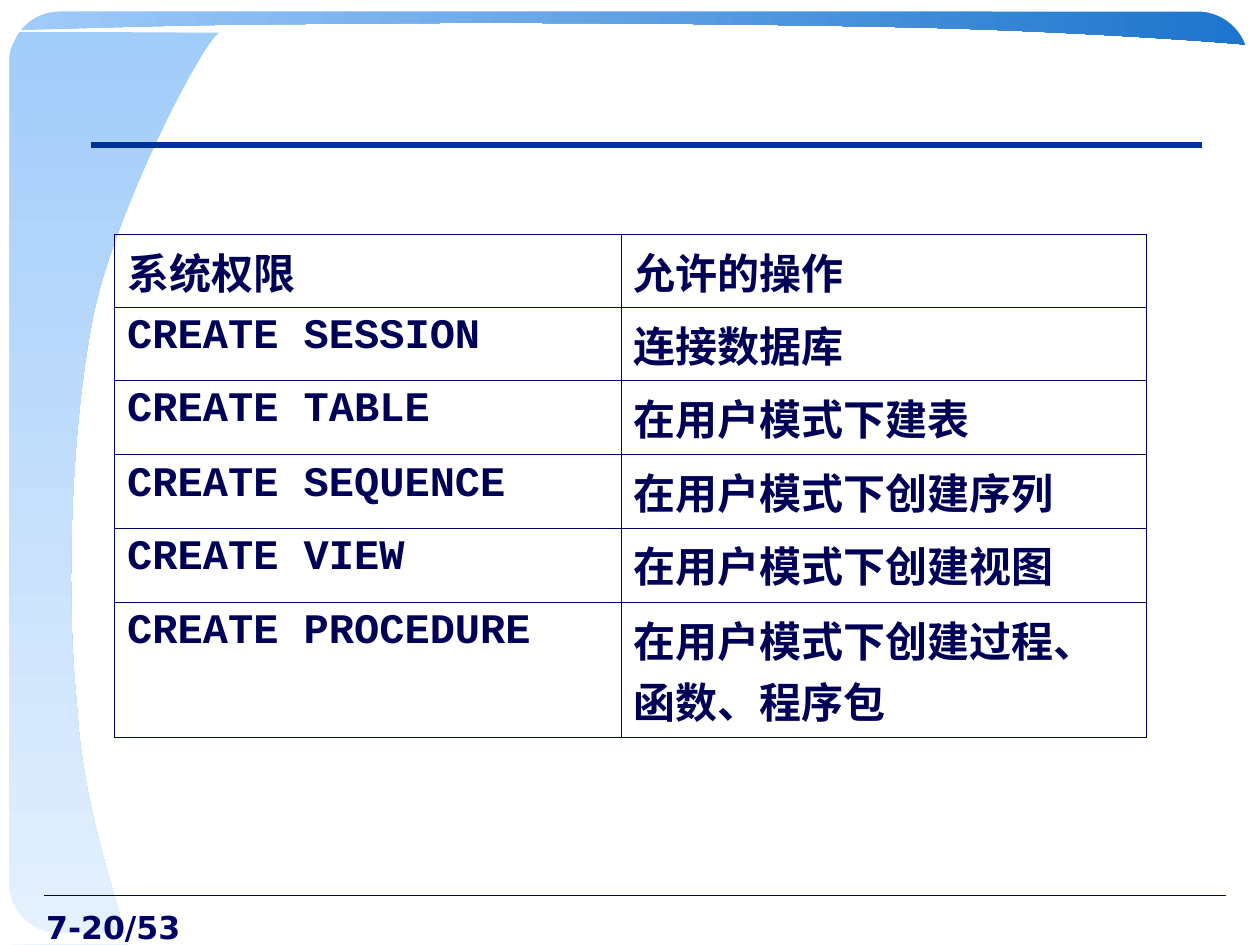
"""Build a slide that lists the system privileges of a database in a table."""
from lxml.etree import SubElement
from pptx import Presentation
from pptx.dml.color import RGBColor
from pptx.enum.shapes import MSO_CONNECTOR as Connector, MSO_SHAPE as Shape
from pptx.enum.text import PP_ALIGN as Align
from pptx.oxml.ns import qn
from pptx.util import Pt

SCALE = 9144
COLORS = {"white": "FFFFFF", "navy": "000066", "ink": "000056", "rule": "003399",
          "sky": "A2CCFA", "mist": "E5F1FE", "ocean": "1C74CC"}
FONTS = {"page": "DejaVu Sans", "code": "Courier New", "text": "Times New Roman"}

LEFT_WAVE = [(101, 750), (95, 718, 65, 642, 61, 558), (52, 474, 56, 337, 75, 246),
             (95, 159, 160, 35, 174, 26), (1, 25), (0, 750)]
TOP_WAVE = [(7, 24), (51, 23, 149, 19, 271, 19), (386, 17, 612, 19, 736, 22),
            (854, 25, 982, 34, 994, 36), (995, 7), (7, 7)]
BOTTOM_LEFT = [(48, 749), (19, 735), (5, 720), (0, 698), (0, 750)]
TOP_LEFT = [(0, 55), (4, 49, 13, 26, 21, 17), (28, 8, 50, 4, 48, 0), (0, 1)]
BOTTOM_RIGHT = [(999, 700), (987, 725), (971, 741), (956, 750), (1000, 749)]
TOP_RIGHT = [(951, 1), (956, 3, 972, 2, 986, 17), (999, 32, 997, 60, 999, 57), (999, 1)]

PRIVILEGES = [
    ("系统权限", "允许的操作"),
    ("CREATE SESSION", "连接数据库"),
    ("CREATE TABLE", "在用户模式下建表"),
    ("CREATE SEQUENCE", "在用户模式下创建序列"),
    ("CREATE VIEW", "在用户模式下创建视图"),
    ("CREATE PROCEDURE", "在用户模式下创建过程、函数、程序包"),
]


def px(*lengths):
    """Turn px lengths into EMU."""
    return [length * SCALE for length in lengths]


def color(name):
    """Look up a colour by name."""
    return RGBColor.from_string(COLORS[name])


def bend(form, parts):
    """Join each run of three lines that stands for a cubic curve."""
    lines = iter(list(form.element.iter(qn("a:lnTo"))))
    for part in parts[1:]:
        curve = next(lines)
        if len(part) == 6:
            curve.tag = qn("a:cubicBezTo")
            for extra in (next(lines), next(lines)):
                curve.append(extra[0])
                extra.getparent().remove(extra)


def write(frame, text, font="text", size=24, ink="ink", align=Align.LEFT):
    """Put one bold paragraph into a text frame."""
    frame.word_wrap = True
    para = frame.paragraphs[0]
    para.alignment = align
    span = para.add_run()
    span.text = text
    span.font.name = FONTS[font]
    span.font.size = Pt(size)
    span.font.bold = True
    span.font.color.rgb = color(ink)


class Painter:
    """Hold the current slide and draw each kind of element on it."""

    def __init__(self, slide):
        """Keep the slide's shapes."""
        self.shapes = slide.shapes

    def outline(self, parts, fill="white", fade=None, angle=0, line=None):
        """Draw a filled outline, plain or fading to a second colour."""
        points = [px(*part[i:i + 2]) for part in parts for i in range(0, len(part), 2)]
        builder = self.shapes.build_freeform(*points[0])
        builder.add_line_segments(points[1:])
        form = builder.convert_to_shape()
        bend(form, parts)
        form.shadow.inherit = False
        if fade:
            form.fill.gradient()
            form.fill.gradient_angle = angle
            for stop, name, position in zip(form.fill.gradient_stops, (fill, fade), (0, 1)):
                stop.color.rgb = color(name)
                stop.position = position
        else:
            form.fill.solid()
            form.fill.fore_color.rgb = color(fill)
        if line:
            form.line.color.rgb = color(line)
            form.line.width = Pt(0.75)
        else:
            form.line.fill.background()

    def border(self, left, top, width, height):
        """Draw the white rounded frame."""
        frame = self.shapes.add_shape(Shape.ROUNDED_RECTANGLE, *px(left, top, width, height))
        frame.adjustments[0] = 0.06
        frame.shadow.inherit = False
        frame.fill.background()
        frame.line.color.rgb = color("white")
        frame.line.width = Pt(6)

    def rule(self, left, right, top, ink, width):
        """Draw a horizontal line."""
        line = self.shapes.add_connector(Connector.STRAIGHT, *px(left, top, right, top))
        line.line.color.rgb = color(ink)
        line.line.width = Pt(width)
        SubElement(line.element.spPr, qn("a:effectLst"))

    def label(self, text, left, top, width, height, **style):
        """Add a text box."""
        box = self.shapes.add_textbox(*px(left, top, width, height))
        write(box.text_frame, text, **style)

    def table(self, rows, left, top, widths, heights):
        """Add a table with thin borders and clear cells."""
        size = px(left, top, sum(widths), sum(heights))
        table = self.shapes.add_table(len(rows), len(widths), *size).table
        table.first_row = table.horz_banding = False
        for column, width in zip(table.columns, px(*widths)):
            column.width = width
        for row, height, texts in zip(table.rows, px(*heights), rows):
            row.height = height
            for cell, text in zip(row.cells, texts):
                write(cell.text_frame, text, font="code" if text.isascii() else "text")
                self.edge(cell)
                cell.fill.background()

    def edge(self, cell):
        """Line all four sides of a table cell."""
        properties = cell._tc.get_or_add_tcPr()
        for side in ("lnL", "lnR", "lnT", "lnB"):
            line = SubElement(properties, qn(f"a:{side}"), w=str(Pt(0.45)))
            fill = SubElement(line, qn("a:solidFill"))
            SubElement(fill, qn("a:srgbClr"), val=COLORS["navy"])


def main():
    """Build and save the slide."""
    deck = Presentation()
    deck.slide_width, deck.slide_height = px(1000, 750)
    page = Painter(deck.slides.add_slide(deck.slide_layouts[6]))
    page.outline(LEFT_WAVE, "sky", "mist", angle=270)
    page.outline(TOP_WAVE, "sky", "ocean")
    page.rule(35, 973, 711, "navy", 0.75)
    page.outline(BOTTOM_LEFT)
    page.border(3, 5, 992, 740)
    page.outline(TOP_LEFT)
    page.outline(BOTTOM_RIGHT, line="white")
    page.outline(TOP_RIGHT)
    page.rule(72, 954, 115, "rule", 3)
    page.label("7-20/53", 0, 716, 153, 34, font="page", size=18, ink="navy", align=Align.RIGHT)
    page.table(PRIVILEGES, 91, 186, widths=(402, 417), heights=(58, 58, 59, 58, 59, 107))
    deck.save("out.pptx")


if __name__ == "__main__":
    main()
